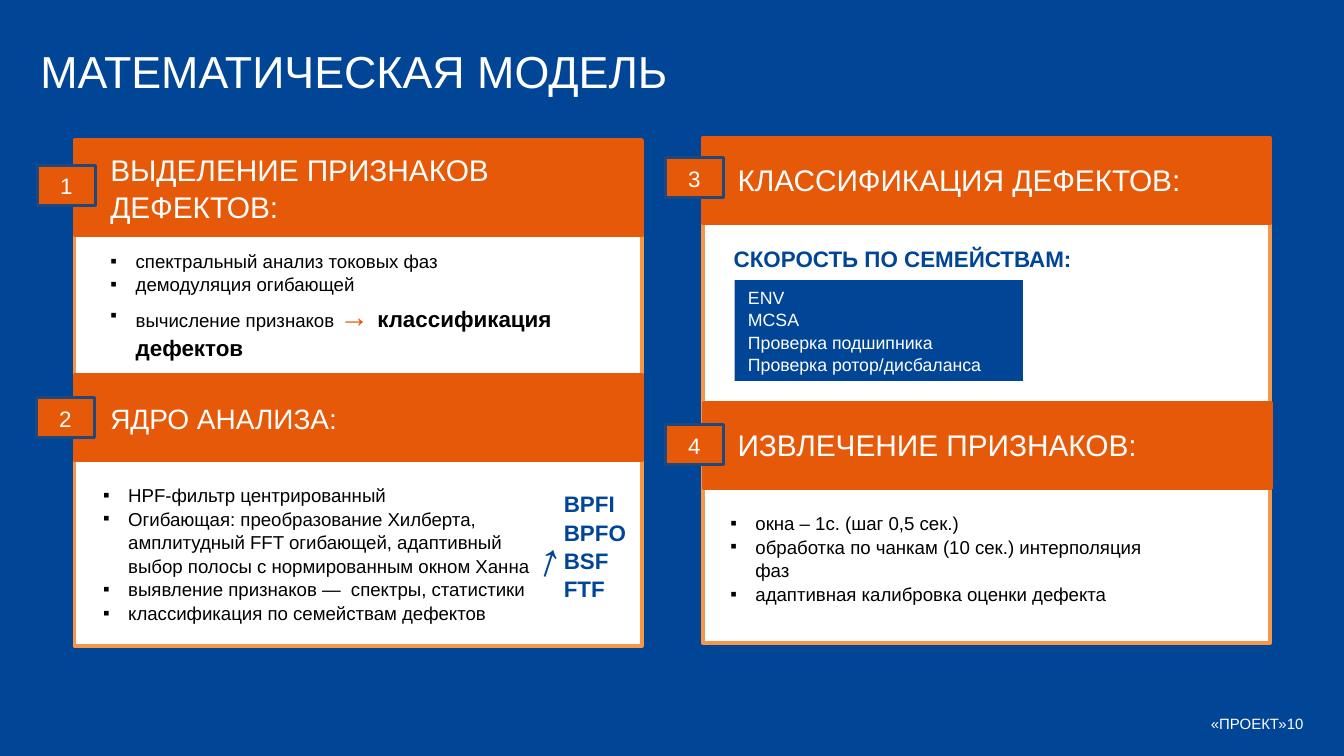
from lxml import etree
from pptx import Presentation
from pptx.dml.color import RGBColor
from pptx.enum.shapes import MSO_SHAPE as SHAPE
from pptx.enum.text import MSO_ANCHOR as ANCHOR, MSO_AUTO_SIZE as AUTO, PP_ALIGN as ALIGN
from pptx.oxml.ns import qn
from pptx.util import Pt

BLUE = RGBColor(0x00, 0x45, 0x96)
NAVY = RGBColor(0x1F, 0x49, 0x7D)
ORANGE = RGBColor(0xE6, 0x59, 0x09)
AMBER = RGBColor(0xF7, 0x96, 0x46)
WHITE = RGBColor(0xFF, 0xFF, 0xFF)
BLACK = RGBColor(0x00, 0x00, 0x00)


def add_rect(x, y, w, h, fill, line, weight):
    sp = s.shapes.add_shape(SHAPE.RECTANGLE, Pt(x), Pt(y), Pt(w), Pt(h))
    sp.shadow.inherit = False
    sp.fill.solid()
    sp.fill.fore_color.rgb = fill
    sp.line.color.rgb = line
    sp.line.width = Pt(weight)
    return sp


def write(sp, paragraphs, size, color, bold=False, align=ALIGN.LEFT,
          anchor=ANCHOR.TOP, bullet=None):
    tf = sp.text_frame
    frame = {"word_wrap": True, "auto_size": AUTO.NONE, "vertical_anchor": anchor,
             "margin_left": Pt(7.2), "margin_right": Pt(7.2),
             "margin_top": Pt(3.6), "margin_bottom": Pt(3.6)}
    for name, value in frame.items():
        setattr(tf, name, value)
    for i, runs in enumerate(paragraphs):
        p = tf.add_paragraph() if i else tf.paragraphs[0]
        layout = {"alignment": align, "line_spacing": 1.05,
                  "space_before": Pt(0), "space_after": Pt(0)}
        for name, value in layout.items():
            setattr(p, name, value)
        pPr = p._p.get_or_add_pPr()
        indent = Pt(13.5) if bullet else 0
        pPr.set("marL", str(indent))
        pPr.set("indent", str(-indent))
        if bullet:
            clr = etree.SubElement(pPr, qn("a:buClr"))
            etree.SubElement(clr, qn("a:srgbClr"), val=str(color))
            etree.SubElement(pPr, qn("a:buFont"), typeface="Arial")
            etree.SubElement(pPr, qn("a:buChar"), char=bullet)
        else:
            etree.SubElement(pPr, qn("a:buNone"))
        for text, special in [(runs, {})] if isinstance(runs, str) else runs:
            r = p.add_run()
            r.text = text
            fmt = {"name": "Arial", "size": Pt(size), "bold": bold} | special
            r.font.color.rgb = fmt.pop("color", color)
            for name, value in fmt.items():
                setattr(r.font, name, value)


prs = Presentation()
prs.slide_width, prs.slide_height = Pt(720), Pt(405)
s = prs.slides.add_slide(prs.slide_layouts[4])
s.background.fill.solid()
s.background.fill.fore_color.rgb = BLUE

title = s.shapes.title
title.left, title.top, title.width, title.height = Pt(14.4), Pt(16.5), Pt(648), Pt(56)
write(title, ["МАТЕМАТИЧЕСКАЯ МОДЕЛЬ"], 24, WHITE)
title.text_frame.margin_top = Pt(5.5)

for x, y in [(40, 88), (376.5, 86.5)]:
    add_rect(x, y, 304, 258, WHITE, AMBER, 2)

sections = [
    ("ВЫДЕЛЕНИЕ ПРИЗНАКОВ ДЕФЕКТОВ:", 16, (40, 75, 51), (52, 87, 256), (20, 88.5)),
    ("ЯДРО АНАЛИЗА:", 15, (40, 201, 45.5), (52, 210.5, 292), (19.5, 213)),
    ("КЛАССИФИКАЦИЯ ДЕФЕКТОВ:", 16, (376.5, 74, 45.5), (388, 82.5, 292), (356.5, 84.5)),
    ("ИЗВЛЕЧЕНИЕ ПРИЗНАКОВ:", 16, (377, 216, 45.5), (388, 224.5, 292), (356.5, 227.5)),
]
for number, (heading, size, band, caption, badge) in enumerate(sections, 1):
    x, y, h = band
    add_rect(x, y, 304, h, ORANGE, ORANGE, 2)
    x, y, w = caption
    sp = s.shapes.add_textbox(Pt(x), Pt(y), Pt(w), Pt(26.5))
    write(sp, [heading], size, WHITE, anchor=ANCHOR.MIDDLE)
    sp = add_rect(*badge, 31, 21.5, ORANGE, NAVY, 1.5)
    write(sp, [str(number)], 12, WHITE, align=ALIGN.CENTER, anchor=ANCHOR.MIDDLE)

bodies = {
    1: ((52, 129.5, 263, 65.5), [
        "спектральный анализ токовых фаз",
        "демодуляция огибающей",
        [("вычисление признаков ", {}),
         ("→\u00a0", {"size": Pt(16), "bold": True, "color": ORANGE}),
         ("классификация дефектов", {"size": Pt(12), "bold": True})]]),
    2: ((48, 255, 245.5, 80), [
        "HPF-фильтр центрированный",
        "Огибающая: преобразование Хилберта, амплитудный FFT огибающей, "
        "адаптивный выбор полосы с нормированным окном Ханна",
        "выявление признаков —  спектры, статистики",
        "классификация по семействам дефектов"]),
    3: ((393.5, 150, 154.5, 54), [
        "ENV", "MCSA", "Проверка подшипника", "Проверка ротор/дисбаланса"]),
    4: ((384, 270, 245.5, 55.5), [
        "окна – 1с. (шаг 0,5 сек.)",
        "обработка по чанкам (10 сек.) интерполяция фаз",
        "адаптивная калибровка оценки дефекта"]),
}
for idx, (place, items) in bodies.items():
    sp = s.placeholders[idx]
    for name, value in zip(("left", "top", "width", "height"), place):
        setattr(sp, name, Pt(value))
    if idx == 3:
        sp.fill.solid()
        sp.fill.fore_color.rgb = BLUE
        write(sp, items, 9.5, WHITE, anchor=ANCHOR.MIDDLE)
    else:
        write(sp, items, 10, BLACK, bullet="▪")
    s.shapes._spTree.append(sp._element)

labels = [
    ((295, 258.5, 55.5, 65.5), ["BPFI", "BPFO", "BSF", "FTF"], 12),
    ((386, 127, 318, 21.5), ["СКОРОСТЬ ПО СЕМЕЙСТВАМ:"], 12),
    ((270, 283.5, 34, 37.5), ["→"], 25),
]
for place, lines, size in labels:
    sp = s.shapes.add_textbox(*map(Pt, place))
    write(sp, lines, size, BLUE, bold=True)
sp.rotation = 288.1

footer = s.shapes.add_textbox(Pt(558.5), Pt(376.5), Pt(147), Pt(21.5))
write(footer, ["«ПРОЕКТ»10"], 8, WHITE, align=ALIGN.RIGHT, anchor=ANCHOR.MIDDLE)

prs.save("out.pptx")
